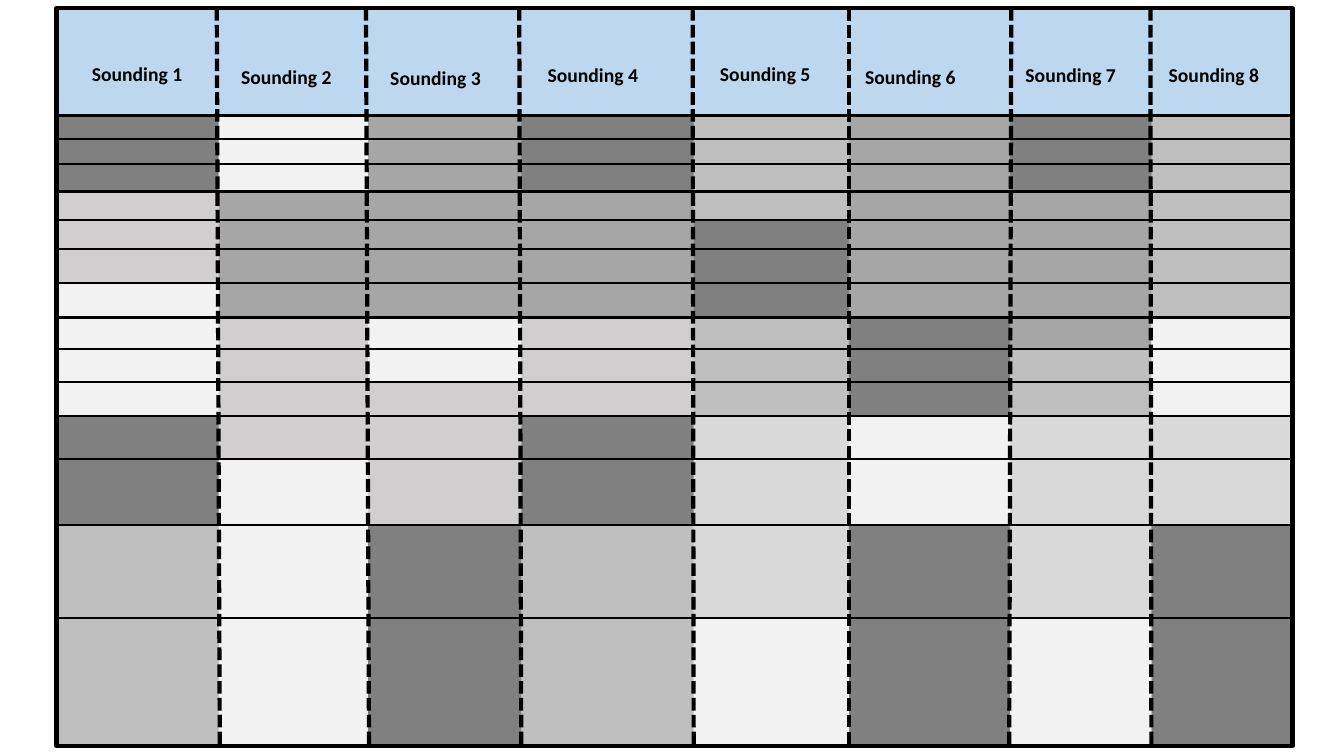
from lxml import etree
from pptx import Presentation
from pptx.dml.color import RGBColor as Rgb
from pptx.enum.dml import MSO_LINE as Dash
from pptx.enum.shapes import MSO_CONNECTOR as Connector, MSO_SHAPE as Shape
from pptx.enum.text import MSO_AUTO_SIZE as AutoSize, PP_ALIGN as Align
from pptx.oxml.ns import qn
from pptx.util import Inches, Pt
from dataclasses import dataclass


@dataclass(frozen=True)
class Theme:
    """Colours, font and sizes of the sounding chart."""
    ink: str = "000000"
    header: str = "BDD7EE"
    warm: str = "D0CECE"
    pale: str = "D9D9D9"
    light: str = "BFBFBF"
    medium: str = "A6A6A6"
    dark: str = "808080"
    white: str = "F2F2F2"
    font: str = "Calibri"
    label_size: int = 14
    border: float = 3
    header_rule: float = 2.25
    layer_rule: float = 1.5


THEME = Theme()
COLUMNS = [0.56, 2.17, 3.65, 5.17, 6.88, 8.42, 10.02, 11.42, 12.82]
DEPTHS = [0.08, 1.15, 1.38, 1.63, 1.9, 2.18, 2.47, 2.81, 3.15, 3.46, 3.79,
          4.13, 4.55, 5.21, 6.13, 7.4]
DIVIDERS = [(2.15, 2.18), (3.63, 3.66), (5.15, 5.17), (6.87, 6.88),
            (8.42, 8.42), (10.03, 10.01), (11.41, 11.42)]
LABELS = [(0.56, 0.57), (2.04, 0.59), (3.52, 0.6), (5.08, 0.58),
          (6.79, 0.57), (8.23, 0.59), (9.82, 0.58), (11.24, 0.58)]
LAYERS = [
    (THEME.header, [(0, 8, 0, 15)]),
    (THEME.warm, [(0, 4, 1, 15)]),
    (THEME.pale, [(4, 8, 1, 15)]),
    (THEME.light, [(0, 4, 13, 15), (4, 8, 1, 11)]),
    (THEME.medium, [(1, 4, 1, 8), (5, 7, 1, 9)]),
    (THEME.dark, [(3, 4, 11, 13), (3, 4, 1, 4), (2, 3, 13, 15), (6, 7, 1, 4),
                  (5, 6, 8, 11), (7, 8, 13, 15), (5, 6, 13, 15),
                  (0, 1, 11, 13), (0, 1, 1, 4), (4, 5, 5, 8)]),
    (THEME.white, [(2, 3, 8, 10), (0, 1, 7, 11), (4, 5, 14, 15),
                   (7, 8, 8, 11), (6, 7, 14, 15), (1, 2, 1, 4),
                   (1, 2, 12, 15), (5, 6, 11, 13)]),
]


def add_block(slide, left_column, right_column, top_depth, bottom_depth):
    """Add a plain rectangle between grid edges."""
    left, top = COLUMNS[left_column], DEPTHS[top_depth]
    block = slide.shapes.add_shape(
        Shape.RECTANGLE, Inches(left), Inches(top),
        Inches(COLUMNS[right_column] - left), Inches(DEPTHS[bottom_depth] - top))
    block.shadow.inherit = False
    return block


def add_layer(slide, colour, extent):
    """Add a filled stretch of one layer."""
    layer = add_block(slide, *extent)
    layer.fill.solid()
    layer.fill.fore_color.rgb = Rgb.from_string(colour)
    layer.line.fill.background()


def add_frame(slide):
    """Outline the whole grid."""
    frame = add_block(slide, 0, len(COLUMNS) - 1, 0, len(DEPTHS) - 1)
    frame.fill.background()
    frame.line.color.rgb = Rgb.from_string(THEME.ink)
    frame.line.width = Pt(THEME.border)


def add_rule(slide, start, end, width, dash=None):
    """Draw a straight rule between two points."""
    rule = slide.shapes.add_connector(
        Connector.STRAIGHT, *(Inches(value) for value in (*start, *end)))
    rule.line.color.rgb = Rgb.from_string(THEME.ink)
    rule.line.width = Pt(width)
    if dash:
        rule.line.dash_style = dash
    etree.SubElement(rule._element.spPr, qn("a:effectLst"))


def add_label(slide, text, left, top):
    """Add a centred bold column label."""
    label = slide.shapes.add_textbox(
        Inches(left), Inches(top), Inches(1.6), Inches(0.34))
    frame = label.text_frame
    frame.word_wrap = True
    frame.auto_size = AutoSize.SHAPE_TO_FIT_TEXT
    frame.text = text
    paragraph = frame.paragraphs[0]
    paragraph.alignment = Align.CENTER
    font = paragraph.runs[0].font
    font.name, font.size, font.bold = THEME.font, Pt(THEME.label_size), True
    font.color.rgb = Rgb.from_string(THEME.ink)


def main():
    """Build and save the sounding chart."""
    deck = Presentation()
    deck.slide_width, deck.slide_height = Inches(13.33), Inches(7.5)
    slide = deck.slides.add_slide(deck.slide_layouts[6])
    for colour, extents in LAYERS:
        for extent in extents:
            add_layer(slide, colour, extent)
    add_frame(slide)
    for top_x, bottom_x in DIVIDERS:
        add_rule(slide, (top_x, DEPTHS[0]), (bottom_x, DEPTHS[-1]),
                 THEME.border, Dash.SQUARE_DOT)
    for index, depth in enumerate(DEPTHS[1:-1]):
        width = THEME.layer_rule if index else THEME.header_rule
        add_rule(slide, (COLUMNS[0], depth), (COLUMNS[-1], depth), width)
    for number, (left, top) in enumerate(LABELS, 1):
        add_label(slide, f"Sounding {number}", left, top)
    deck.save("out.pptx")


main()
